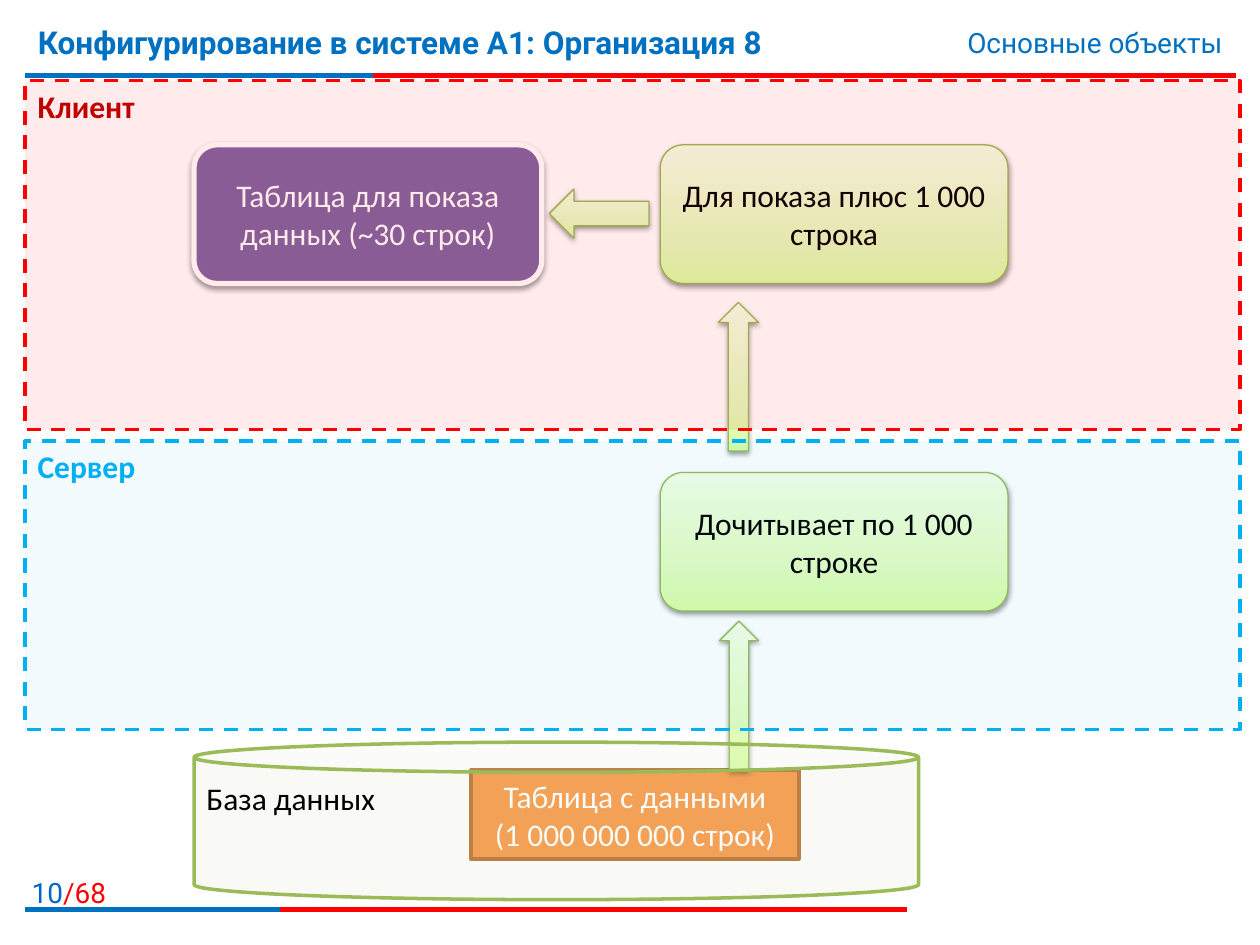
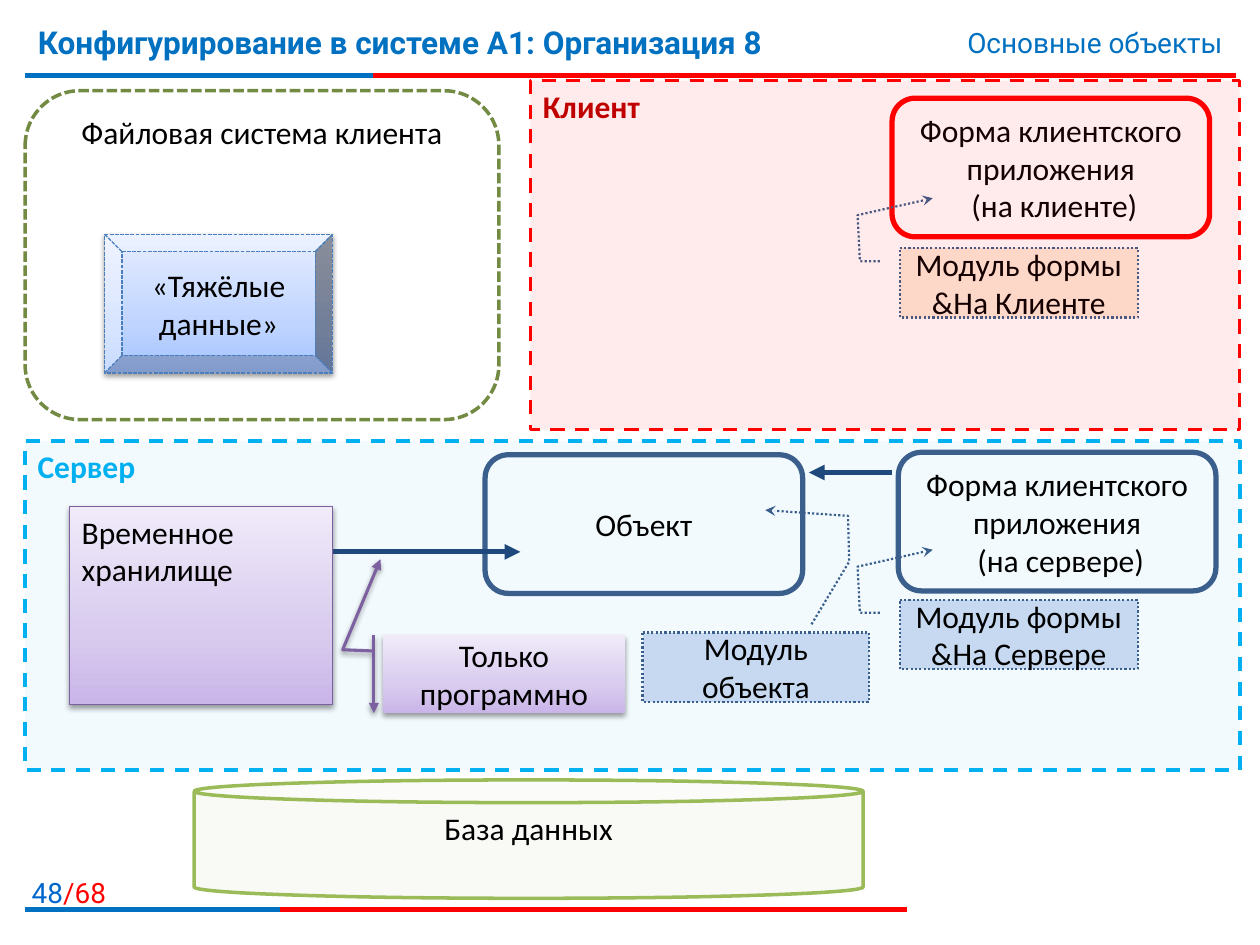
import pptx
import pptx.util
import pptx.dml.color
import pptx.enum.shapes
import pptx.enum.text
import pptx.enum.dml
import pptx.oxml
import pptx.oxml.ns
import lxml.etree

Inches, Pt = pptx.util.Inches, pptx.util.Pt
SHAPE = pptx.enum.shapes.MSO_SHAPE
ALIGN = pptx.enum.text.PP_ALIGN
ANCHOR = pptx.enum.text.MSO_ANCHOR
DASH = pptx.enum.dml.MSO_LINE

# ---- Content shared by the slides ----
COURSE = "Конфигурирование в системе А1: Организация 8"
SECTION = "Основные объекты"
PAGE_TOTAL = 68

COLORS = {
    "blue": "0070C0", "page": "0066CC", "red": "FF0000", "dark red": "C00000",
    "sky": "00B0F0", "navy": "1F497D", "steel": "3A5F8C", "black": "000000",
    "white": "FFFFFF", "orange": "F79646", "brown": "B76F34", "purple": "8064A2",
    "violet": "7D60A0", "green": "9BBB59", "pale green": "D7E4BD",
    "leaf": "98B955", "olive": "738A42", "azure": "4B7EBC",
    "peach": "FDEADA", "ice": "C6D9F1",
}
# Gradients run from the bottom edge to the top edge
GRADIENT_STOPS = (0, 35, 100)
GRADIENTS = {
    "lime": ("DAFDA7", "E4FCC2", "F5FFE7"),
    "lilac": ("C9B5E8", "D8CBEE", "F0EAF9"),
    "water": ("A4C4FF", "BFD4FF", "E6EEFF"),
}

# ---- Looks: shape, fill, opacity %, line colour, line width, and extras ----
MODULE_POINTER = (0.188, -0.083, 0.188, -0.167, -0.478, -0.177, -0.722, 0.139)
OBJECT_POINTER = (-0.119, 0.745, -1.023, 0.911, -1.684, 0.906, -1.767, 0.541)
NOTE_POINTER = (0.204, -0.038, 0.188, -0.167, -0.971, -0.011)
FORM = SHAPE.FLOWCHART_ALTERNATE_PROCESS
MODULE = dict(dash=DASH.ROUND_DOT, tail="stealth", adjust=MODULE_POINTER)
ZONE = dict(dash=DASH.DASH, bold=True, align=ALIGN.LEFT, anchor=ANCHOR.TOP)
LOOKS = {
    "client": (SHAPE.RECTANGLE, "red", 8, "red", 2, dict(ZONE, color="dark red")),
    "server": (SHAPE.RECTANGLE, "sky", 5, "sky", 2, dict(ZONE, color="sky")),
    "database": (SHAPE.CAN, "pale green", 15, "green", 2,
                 dict(adjust=(0.192,), anchor=ANCHOR.TOP)),
    "data table": (SHAPE.RECTANGLE, "orange", 100, "brown", 2, dict(color="white")),
    "shown table": (SHAPE.ROUNDED_RECTANGLE, "purple", 100, "white", 3,
                    dict(color="white", shadow=True)),
    "portion": (SHAPE.ROUNDED_RECTANGLE, "lime", 100, "leaf", 0.75, dict(shadow=True)),
    "up": (SHAPE.UP_ARROW, "lime", 100, "leaf", 0.75, dict(shadow=True)),
    "left": (SHAPE.LEFT_ARROW, "lime", 100, "leaf", 0.75, dict(shadow=True)),
    "client form": (FORM, None, 100, "red", 3, {}),
    "server form": (FORM, None, 100, "steel", 3, {}),
    "client module": (SHAPE.LINE_CALLOUT_3, "peach", 100, "steel", 1.25, MODULE),
    "server module": (SHAPE.LINE_CALLOUT_3, "ice", 100, "steel", 1.25, MODULE),
    "object module": (SHAPE.LINE_CALLOUT_3, "ice", 100, "steel", 1.25,
                      dict(MODULE, adjust=OBJECT_POINTER)),
    "storage": (SHAPE.RECTANGLE, "lilac", 100, "violet", 0.75,
                dict(shadow=True, align=ALIGN.LEFT, anchor=ANCHOR.TOP)),
    "files": (SHAPE.ROUNDED_RECTANGLE, None, 100, "olive", 2,
              dict(dash=DASH.SQUARE_DOT, anchor=ANCHOR.TOP)),
    "heavy data": (SHAPE.BEVEL, "water", 100, "azure", 0.75,
                   dict(dash=DASH.SQUARE_DOT, shadow=True)),
    "note": (SHAPE.LINE_CALLOUT_2_ACCENT_BAR, "lilac", 100, "violet", 1.75,
             dict(shadow=True, tail="triangle", adjust=NOTE_POINTER)),
}

# ---- Slides: (look, (left, top, width, height), text, changes), back to front;
#      an "arrow" holds (tip x, end x, y) ----
LEFT, RIGHT = 0.2, 9.84
CARD, FORM_SIZE, MODULE_SIZE = (2.76, 1.1), (2.52, 1.1), (1.89, 0.55)
DB_LEFT, CARD_X, MODULE_X = 1.54, 5.24, 7.14
CLIENT_Y, CLIENT_H, SERVER_Y = 0.64, 2.77, 3.5

SLIDES = [
    (10, [
        ("data table", (3.74, 6.11, 2.6, 0.71),
         "Таблица с данными\n(1 000 000 000 строк)", {}),
        ("shown table", (DB_LEFT, 1.15, *CARD), "Таблица для показа данных (~30 строк)", {}),
        ("portion", (CARD_X, 3.75, *CARD), "Дочитывает по 1 000 строке", {}),
        ("portion", (CARD_X, 1.15, *CARD), "Для показа плюс 1 000 строка", {}),
        ("up", (5.71, 4.93, 0.31, 1.18), "", {}),
        ("up", (5.7, 2.4, 0.32, 1.18), "", {}),
        ("left", (4.36, 1.5, 0.79, 0.39), "", {}),
        ("server", (LEFT, SERVER_Y, RIGHT - LEFT, 2.29), "Сервер", {}),
        ("client", (LEFT, CLIENT_Y, RIGHT - LEFT, CLIENT_H), "Клиент", {}),
        ("database", (DB_LEFT, 5.89, 5.75, 1.25), "База данных", dict(align=ALIGN.LEFT)),
    ]),
    (48, [
        ("database", (DB_LEFT, 6.19, 5.31, 0.94), "База данных", {}),
        ("server", (LEFT, SERVER_Y, RIGHT - LEFT, 2.61), "Сервер", {}),
        ("client form", (7.08, 0.78, *FORM_SIZE),
         "Форма клиентского приложения\v (на клиенте)", {}),
        ("server form", (7.13, 3.59, *FORM_SIZE),
         "Форма клиентского приложения\v (на сервере)", {}),
        ("client module", (MODULE_X, 1.97, *MODULE_SIZE), "Модуль формы\v&На Клиенте", {}),
        ("server module", (MODULE_X, 4.76, *MODULE_SIZE), "Модуль формы\v&На Сервере", {}),
        ("server form", (3.85, 3.61, *FORM_SIZE), "Объект", {}),
        ("object module", (5.1, 5.02, 1.8, 0.55), "Модуль объекта", {}),
        ("arrow", (6.42, 7.08, 3.75), "", {}),
        ("storage", (0.55, 4.02, 2.09, 1.57), "Временное хранилище", {}),
        ("arrow", (4.13, 2.64, 4.38), "", {}),
        ("client", (4.21, CLIENT_Y, RIGHT - 4.21, CLIENT_H), "Клиент", {}),
        ("files", (LEFT, 0.72, 3.76, 2.61), "Файловая система клиента", {}),
        ("heavy data", (0.83, 1.86, 1.81, 1.1), "«Тяжёлые данные»", {}),
        ("note", (3.04, 5.04, 1.92, 0.62), "Только программно", {}),
    ]),
]


# ---- Helpers ----
def rgb(name):
    return pptx.dml.color.RGBColor.from_string(COLORS[name])


def add_xml(parent, tag, **attributes):
    values = {key: str(value) for key, value in attributes.items()}
    return lxml.etree.SubElement(parent, pptx.oxml.ns.qn(tag), values)


def format_text(frame, size, font, color, align, bold=False):
    for paragraph in frame.paragraphs:
        paragraph.alignment = align
        for run in paragraph.runs:
            run.font.size, run.font.name, run.font.bold = Pt(size), font, bold
            run.font.color.rgb = rgb(color)


def paint_fill(shape, fill, opacity):
    if fill is None:
        shape.fill.background()
    elif fill in GRADIENTS:
        shape.fill.gradient()
        shape.fill.gradient_angle = 90
        stops = shape._element.spPr.find(".//" + pptx.oxml.ns.qn("a:gsLst"))
        for stop in list(stops):
            stops.remove(stop)
        for position, color in zip(GRADIENT_STOPS, GRADIENTS[fill]):
            add_xml(add_xml(stops, "a:gs", pos=position * 1000), "a:srgbClr", val=color)
    else:
        shape.fill.solid()
        shape.fill.fore_color.rgb = rgb(fill)
        if opacity < 100:
            color = shape._element.spPr.find(".//" + pptx.oxml.ns.qn("a:srgbClr"))
            add_xml(color, "a:alpha", val=opacity * 1000)


def add_shadow(shape):
    effects = shape._element.spPr.find(pptx.oxml.ns.qn("a:effectLst"))
    shadow = add_xml(effects, "a:outerShdw", blurRad=Pt(3.1), dist=Pt(1.6),
                     dir=90 * 60000, rotWithShape=0)
    add_xml(add_xml(shadow, "a:srgbClr", val=COLORS["black"]), "a:alpha", val=38000)


def add_part(slide, look, place, text, changes):
    kind, fill, opacity, line, width, extras = LOOKS[look]
    extras = {**extras, **changes}
    part = slide.shapes.add_shape(kind, *map(Inches, place))
    for index, value in enumerate(extras.get("adjust", ())):
        part.adjustments[index] = value
    part.shadow.inherit = False
    paint_fill(part, fill, opacity)
    part.line.color.rgb = rgb(line)
    part.line.width = Pt(width)
    if "dash" in extras:
        part.line.dash_style = extras["dash"]
    if "tail" in extras:
        add_xml(part.line._get_or_add_ln(), "a:tailEnd", type=extras["tail"])
    if extras.get("shadow"):
        add_shadow(part)
    if text:
        part.text_frame.text = text
        part.text_frame.vertical_anchor = extras.get("anchor", ANCHOR.MIDDLE)
        format_text(part.text_frame, 18, "Calibri", extras.get("color", "black"),
                    extras.get("align", ALIGN.CENTER), extras.get("bold", False))


def add_line(slide, start, end, y, color, head=None):
    line = slide.shapes.add_connector(pptx.enum.shapes.MSO_CONNECTOR.STRAIGHT,
                                      *map(Inches, (start, y, end, y)))
    line.line.color.rgb = rgb(color)
    line.line.width = Pt(3)
    if head:
        add_xml(line.line._get_or_add_ln(), "a:headEnd", type=head)
    add_xml(line._element.spPr, "a:effectLst")


def add_label(slide, place, color, pieces):
    label = slide.shapes.add_textbox(*map(Inches, place))
    label.text_frame.word_wrap = True
    for piece in pieces:
        label.text_frame.paragraphs[0].add_run().text = piece
    format_text(label.text_frame, 16, "Roboto", color, ALIGN.RIGHT)
    return label


def add_frame(slide, page):
    # Two-colour rules under the header and at the foot
    for y, end, blue_end in ((0.6, 9.81, 2.96), (7.22, 7.2, 2.22)):
        add_line(slide, LEFT, end, y, "red")
        add_line(slide, LEFT, blue_end, y, "blue")
    # Page number
    number = add_label(slide, (0, 6.9, 0.94, 0.32), "page", (str(page), f"/{PAGE_TOTAL}"))
    number.text_frame.paragraphs[0].runs[1].font.color.rgb = rgb("red")
    # Header
    title = slide.shapes.title
    title.left, title.top, title.width, title.height = map(Inches, (LEFT, 0.13, 7.4, 0.62))
    title.text_frame.text = COURSE
    title.text_frame.vertical_anchor = ANCHOR.TOP
    title.text_frame.auto_size = pptx.enum.text.MSO_AUTO_SIZE.NONE
    format_text(title.text_frame, 18, "Roboto", "blue", ALIGN.LEFT, bold=True)
    add_label(slide, (5.94, 0.15, 3.86, 0.37), "blue", (SECTION,))


def main():
    deck = pptx.Presentation()
    deck.slide_width, deck.slide_height = Inches(10), Inches(7.5)
    title_only = deck.slide_layouts[5]
    for page, parts in SLIDES:
        slide = deck.slides.add_slide(title_only)
        add_frame(slide, page)
        for look, place, text, changes in parts:
            if look == "arrow":
                add_line(slide, *place, "navy", head="triangle")
            else:
                add_part(slide, look, place, text, changes)
    deck.save("out.pptx")


if __name__ == "__main__":
    main()
